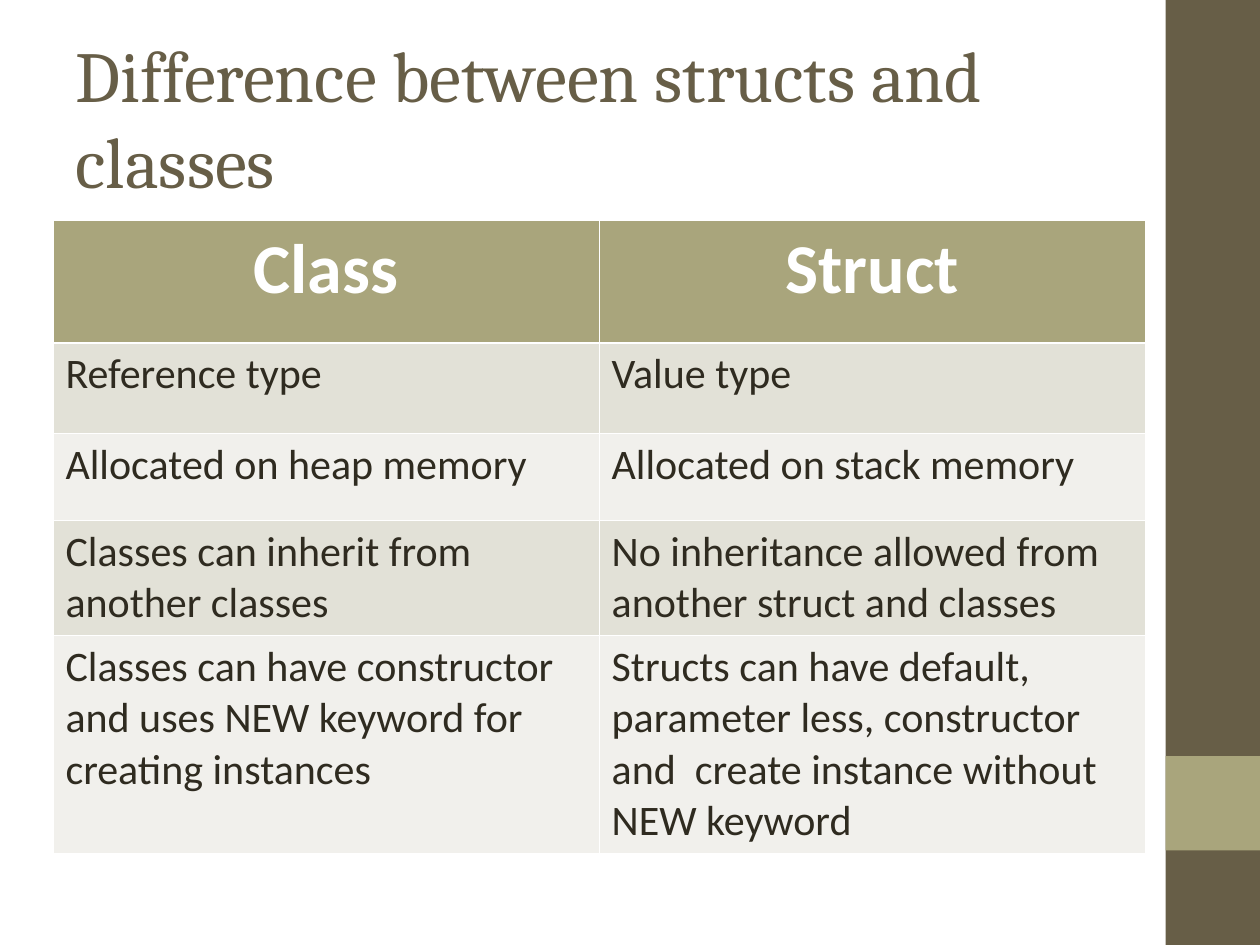
from lxml import etree
from pptx import Presentation
from pptx.dml.color import RGBColor
from pptx.enum.shapes import MSO_SHAPE
from pptx.enum.text import MSO_ANCHOR, MSO_AUTO_SIZE, PP_ALIGN
from pptx.oxml.ns import qn
from pptx.util import Inches, Pt

RECT = MSO_SHAPE.RECTANGLE
MIDDLE = MSO_ANCHOR.MIDDLE
NO_FIT = MSO_AUTO_SIZE.NONE
LEFT, CENTER = PP_ALIGN.LEFT, PP_ALIGN.CENTER

WHITE = RGBColor(0xFF, 0xFF, 0xFF)
BROWN = RGBColor(0x67, 0x5E, 0x47)
OLIVE = RGBColor(0xA9, 0xA5, 0x7C)
INK = RGBColor(0x2F, 0x2B, 0x20)
BANDS = (RGBColor(0xE2, 0xE1, 0xD7), RGBColor(0xF1, 0xF0, 0xEC))

THIN, THICK = 0.45, 1.47

ROWS = [
    ("Class", "Struct"),
    ("Reference type", "Value type"),
    ("Allocated on heap memory", "Allocated on stack memory"),
    ("Classes can inherit from another classes",
     "No inheritance allowed from another struct and classes"),
    ("Classes can have constructor and uses NEW keyword for creating instances",
     "Structs can have default, parameter less, constructor and  create "
     "instance without NEW keyword"),
]
HEIGHTS = (0.97, 0.72, 0.69, 0.9, 1.7)


class Deck:
    head_font = "Cambria"
    body_font = "Calibri"

    def __init__(self, slide):
        self.slide = slide

    def style(self, frame, text, font, size, color, bold=False, align=LEFT):
        frame.text = text
        para = frame.paragraphs[0]
        para.alignment = align
        face = para.runs[0].font
        face.name, face.size, face.bold = font, Pt(size), bold
        face.color.rgb = color

    def bar(self, x, y, w, h, color):
        shape = self.slide.shapes.add_shape(
            RECT, Inches(x), Inches(y), Inches(w), Inches(h))
        shape.shadow.inherit = False
        shape.fill.solid()
        shape.fill.fore_color.rgb = color
        shape.line.fill.background()

    def title(self, text, x, y, w, h):
        shape = self.slide.shapes.title
        shape.left, shape.top = Inches(x), Inches(y)
        shape.width, shape.height = Inches(w), Inches(h)
        frame = shape.text_frame
        frame.word_wrap = True
        frame.auto_size = NO_FIT
        frame.vertical_anchor = MIDDLE
        self.style(frame, text, self.head_font, 41, BROWN)

    def border(self, cell, side, width):
        props = cell._tc.get_or_add_tcPr()
        line = etree.SubElement(props, qn("a:ln" + side), w=str(int(Pt(width))))
        fill = etree.SubElement(line, qn("a:solidFill"))
        etree.SubElement(fill, qn("a:srgbClr"), val=str(WHITE))

    def table(self, rows, heights, x, y, w):
        cols = len(rows[0])
        table = self.slide.shapes.add_table(
            len(rows), cols, Inches(x), Inches(y),
            Inches(w), Inches(sum(heights))).table
        for col in table.columns:
            col.width = Inches(w / cols)
        for r, (texts, height) in enumerate(zip(rows, heights)):
            table.rows[r].height = Inches(height)
            for c, text in enumerate(texts):
                self.cell(table.cell(r, c), text, r)

    def cell(self, cell, text, row):
        head = row == 0
        # The rule under the header is heavier than the others
        widths = {"L": THIN, "R": THIN,
                  "T": THICK if row == 1 else THIN,
                  "B": THICK if head else THIN}
        for side, width in widths.items():
            self.border(cell, side, width)
        cell.fill.solid()
        cell.fill.fore_color.rgb = OLIVE if head else BANDS[(row - 1) % 2]
        if head:
            self.style(cell.text_frame, text, self.body_font, 40, WHITE,
                       True, CENTER)
        else:
            self.style(cell.text_frame, text, self.body_font, 24, INK)


def main():
    prs = Presentation()
    prs.slide_width, prs.slide_height = Inches(10), Inches(7.5)
    deck = Deck(prs.slides.add_slide(prs.slide_layouts[5]))

    # Side band with its accent
    deck.bar(9.25, 0, 0.75, 7.5, BROWN)
    deck.bar(9.25, 6, 0.75, 0.75, OLIVE)

    # Heading and comparison
    deck.title("Difference between structs and classes", 0.5, 0.3, 8.33, 1.25)
    deck.table(ROWS, HEIGHTS, 0.42, 1.75, 8.67)

    prs.save("out.pptx")


if __name__ == "__main__":
    main()
